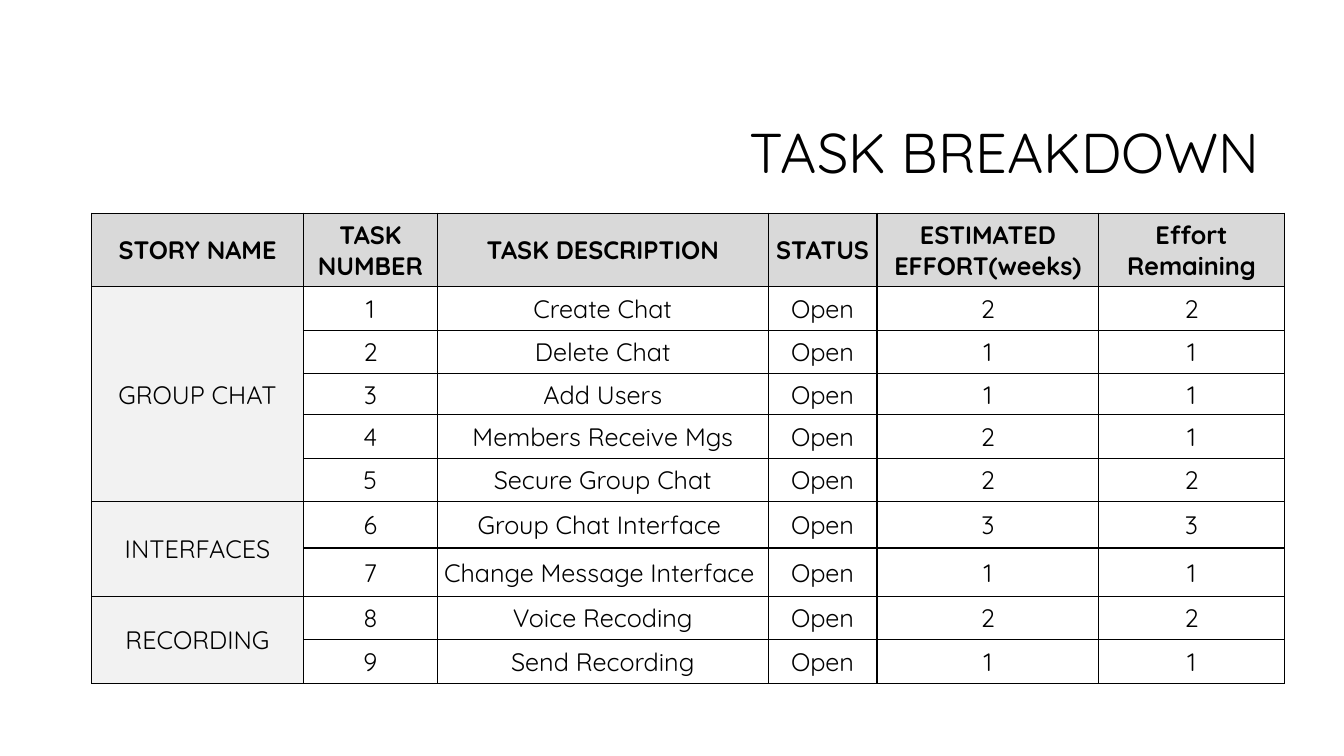
"""Build the task breakdown slide with its table of stories and tasks."""
from dataclasses import dataclass
from typing import Optional

from lxml.etree import SubElement
from pptx import Presentation
from pptx.dml.color import RGBColor
from pptx.enum.text import MSO_ANCHOR as Anchor, MSO_AUTO_SIZE as AutoSize, PP_ALIGN as Align
from pptx.oxml.ns import qn
from pptx.table import Table, _Cell as Cell
from pptx.util import Pt

BLACK = RGBColor(0x00, 0x00, 0x00)
HEADER_GREY = RGBColor(0xD9, 0xD9, 0xD9)
STORY_GREY = RGBColor(0xF2, 0xF2, 0xF2)
FONT = "Quicksand"
BORDER_WIDTH = Pt(1)


@dataclass
class Column:
    heading: str
    width: float


@dataclass
class Task:
    description: str
    estimated: int
    remaining: int
    height: float = 31
    status: str = "Open"


@dataclass
class Story:
    name: str
    tasks: list[Task]


COLUMNS = [
    Column("STORY NAME", 151.2),
    Column("TASK NUMBER", 95.8),
    Column("TASK DESCRIPTION", 236.2),
    Column("STATUS", 77.8),
    Column("ESTIMATED EFFORT(weeks)", 158.4),
    Column("Effort Remaining", 132.5),
]
STORIES = [
    Story("GROUP CHAT", [
        Task("Create Chat", 2, 2),
        Task("Delete Chat", 1, 1),
        Task("Add Users", 1, 1, 29.5),
        Task("Members Receive Mgs", 2, 1),
        Task("Secure Group Chat", 2, 2),
    ]),
    Story("INTERFACES", [
        Task("Group Chat Interface ", 3, 3, 33.1),
        Task("Change Message Interface ", 1, 1, 34.6),
    ]),
    Story("RECORDING", [
        Task("Voice Recoding", 2, 2),
        Task("Send Recording", 1, 1),
    ]),
]
HEADER_HEIGHT = 52.6


def format_cell(cell: Cell, fill: Optional[RGBColor] = None) -> None:
    cell.margin_left = cell.margin_right = cell.margin_top = Pt(0.7)
    cell.margin_bottom = Pt(0)
    cell.vertical_anchor = Anchor.MIDDLE
    properties = cell._tc.get_or_add_tcPr()
    for side in ("a:lnL", "a:lnR", "a:lnT", "a:lnB"):
        border = SubElement(properties, qn(side), w=str(BORDER_WIDTH))
        SubElement(SubElement(border, qn("a:solidFill")), qn("a:srgbClr"), val=str(BLACK))
    if fill is None:
        cell.fill.background()
    else:
        cell.fill.solid()
        cell.fill.fore_color.rgb = fill


def write_cell(cell: Cell, text: str, bold: bool = False) -> None:
    cell.text = text
    paragraph = cell.text_frame.paragraphs[0]
    paragraph.alignment = Align.CENTER
    paragraph.font.name = FONT
    paragraph.font.size = Pt(18)
    paragraph.font.bold = bold
    paragraph.font.color.rgb = BLACK


def write_story(breakdown: Table, story: Story, first_row: int, first_number: int) -> None:
    for offset, task in enumerate(story.tasks):
        row = first_row + offset
        breakdown.rows[row].height = Pt(task.height)
        format_cell(breakdown.cell(row, 0), STORY_GREY)
        values = (first_number + offset, task.description, task.status,
                  task.estimated, task.remaining)
        for column, value in enumerate(values, start=1):
            format_cell(breakdown.cell(row, column))
            write_cell(breakdown.cell(row, column), str(value))
    story_cell = breakdown.cell(first_row, 0)
    story_cell.merge(breakdown.cell(first_row + len(story.tasks) - 1, 0))
    write_cell(story_cell, story.name)


def main() -> None:
    deck = Presentation()
    deck.slide_width, deck.slide_height = Pt(960), Pt(540)
    slide = deck.slides.add_slide(deck.slide_layouts[5])

    title = slide.shapes.title
    title.left, title.top, title.width, title.height = Pt(228.2), Pt(60.5), Pt(678.2), Pt(101.5)
    title.text_frame.text = "TASK BREAKDOWN"
    title.text_frame.auto_size = AutoSize.NONE
    title.text_frame.vertical_anchor = Anchor.MIDDLE
    heading = title.text_frame.paragraphs[0]
    heading.alignment = Align.RIGHT
    heading.line_spacing = 0.9
    heading.font.name = FONT
    heading.font.size = Pt(40)
    heading.font.color.rgb = BLACK

    heights = [HEADER_HEIGHT] + [task.height for story in STORIES for task in story.tasks]
    width = sum(column.width for column in COLUMNS)
    breakdown = slide.shapes.add_table(
        len(heights), len(COLUMNS), Pt(65.5), Pt(152.3), Pt(width), Pt(sum(heights))).table
    breakdown.first_row = breakdown.horz_banding = False

    breakdown.rows[0].height = Pt(HEADER_HEIGHT)
    for index, column in enumerate(COLUMNS):
        breakdown.columns[index].width = Pt(column.width)
        format_cell(breakdown.cell(0, index), HEADER_GREY)
        write_cell(breakdown.cell(0, index), column.heading, bold=True)

    next_row = 1
    for story in STORIES:
        write_story(breakdown, story, next_row, next_row)
        next_row += len(story.tasks)

    deck.save("out.pptx")


if __name__ == "__main__":
    main()
